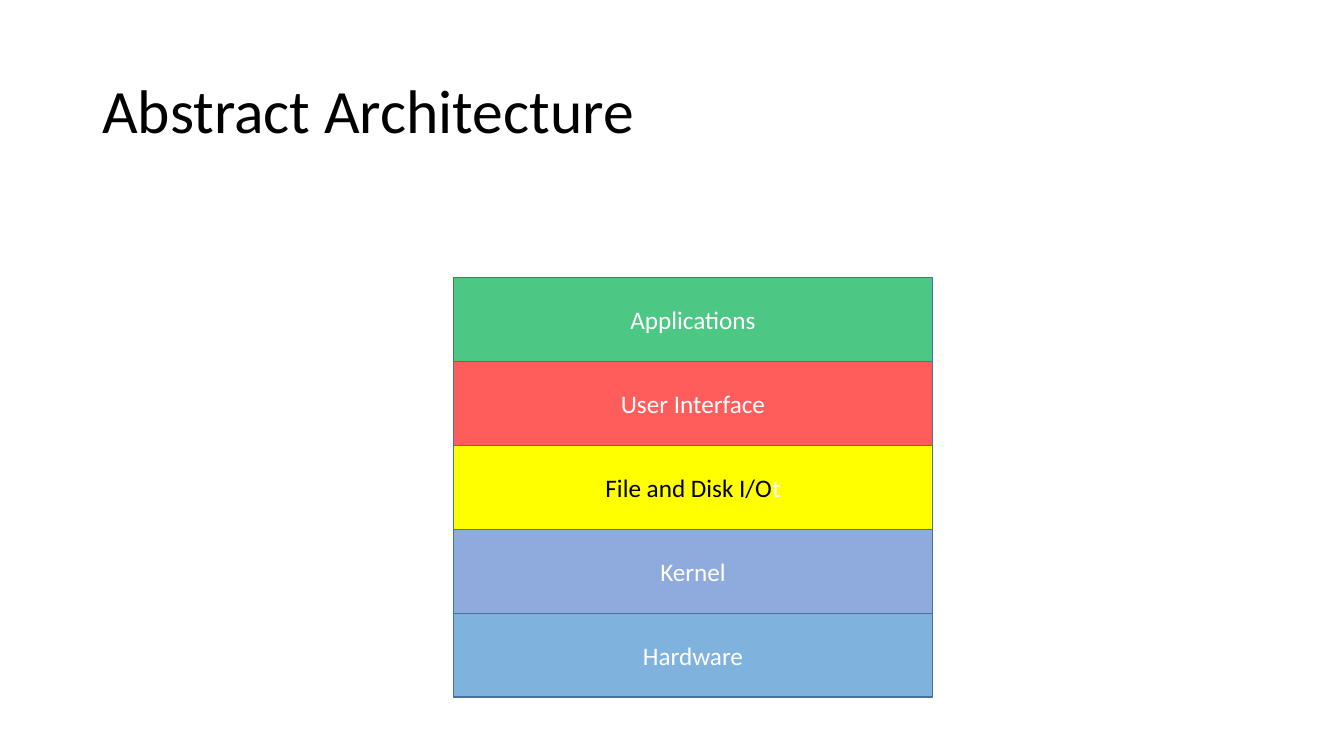
from lxml.etree import SubElement
from pptx import Presentation
from pptx.dml.color import RGBColor
from pptx.enum.shapes import MSO_SHAPE
from pptx.enum.text import MSO_ANCHOR, PP_ALIGN
from pptx.oxml.ns import qn
from pptx.util import Cm, Pt

COLORS = {
    "black": "000000",
    "white": "FFFFFF",
    "outline": "43739E",
    "green": "00B050",
    "red": "FF0000",
    "yellow": "FFFF00",
    "periwinkle": "8FAADC",
    "blue": "5B9BD5",
}

LAYERS = [
    ("green", 70, [("Applications", "white")]),
    ("red", 64, [("User Interface", "white")]),
    ("yellow", 100, [("File and Disk I/O", "black"), ("t", "white")]),
    ("periwinkle", 100, [("Kernel", "white")]),
    ("blue", 77, [("Hardware", "white")]),
]


def rgb(color):
    """Return the named palette color."""
    return RGBColor.from_string(COLORS[color])


def write(frame, pieces, size=18, align=PP_ALIGN.CENTER, spacing=None):
    """Fill a text frame with one paragraph of (text, color) pieces."""
    frame.word_wrap = True
    frame.vertical_anchor = MSO_ANCHOR.MIDDLE
    paragraph = frame.paragraphs[0]
    paragraph.alignment = align
    paragraph.line_spacing = spacing
    for text, color in pieces:
        run = paragraph.add_run()
        run.text = text
        run.font.name = "Calibri"
        run.font.size = Pt(size)
        run.font.color.rgb = rgb(color)


def add_heading(slide, left, top, width, height):
    """Place the slide heading in the given box."""
    heading = slide.shapes.add_textbox(Cm(left), Cm(top), Cm(width), Cm(height))
    write(heading.text_frame, [("Abstract Architecture", "black")],
          size=44, align=PP_ALIGN.LEFT, spacing=0.9)


def add_layer(slide, color, opacity, label, left, top, width, height):
    """Draw one labelled layer of the architecture."""
    layer = slide.shapes.add_shape(
        MSO_SHAPE.RECTANGLE, Cm(left), Cm(top), Cm(width), Cm(height))
    layer.shadow.inherit = False
    layer.fill.solid()
    layer.fill.fore_color.rgb = rgb(color)
    if opacity < 100:
        tint = layer.element.spPr.find(f"{qn('a:solidFill')}/{qn('a:srgbClr')}")
        SubElement(tint, qn("a:alpha"), val=str(opacity * 1000))
    layer.line.color.rgb = rgb("outline")
    layer.line.width = Pt(1)
    write(layer.text_frame, label)


def add_stack(slide, left, top, width, height):
    """Divide the given box evenly among the stacked layers."""
    layer_height = height / len(LAYERS)
    for level, (color, opacity, label) in enumerate(LAYERS):
        add_layer(slide, color, opacity, label,
                  left, top + level * layer_height, width, layer_height)


def main():
    """Build and save the architecture slide."""
    deck = Presentation()
    deck.slide_width, deck.slide_height = Cm(33.87), Cm(19.05)
    slide = deck.slides.add_slide(deck.slide_layouts[6])
    add_heading(slide, 2.33, 1.01, 29.21, 3.68)
    add_stack(slide, 11.43, 6.99, 12.07, 10.58)
    deck.save("out.pptx")


if __name__ == "__main__":
    main()
